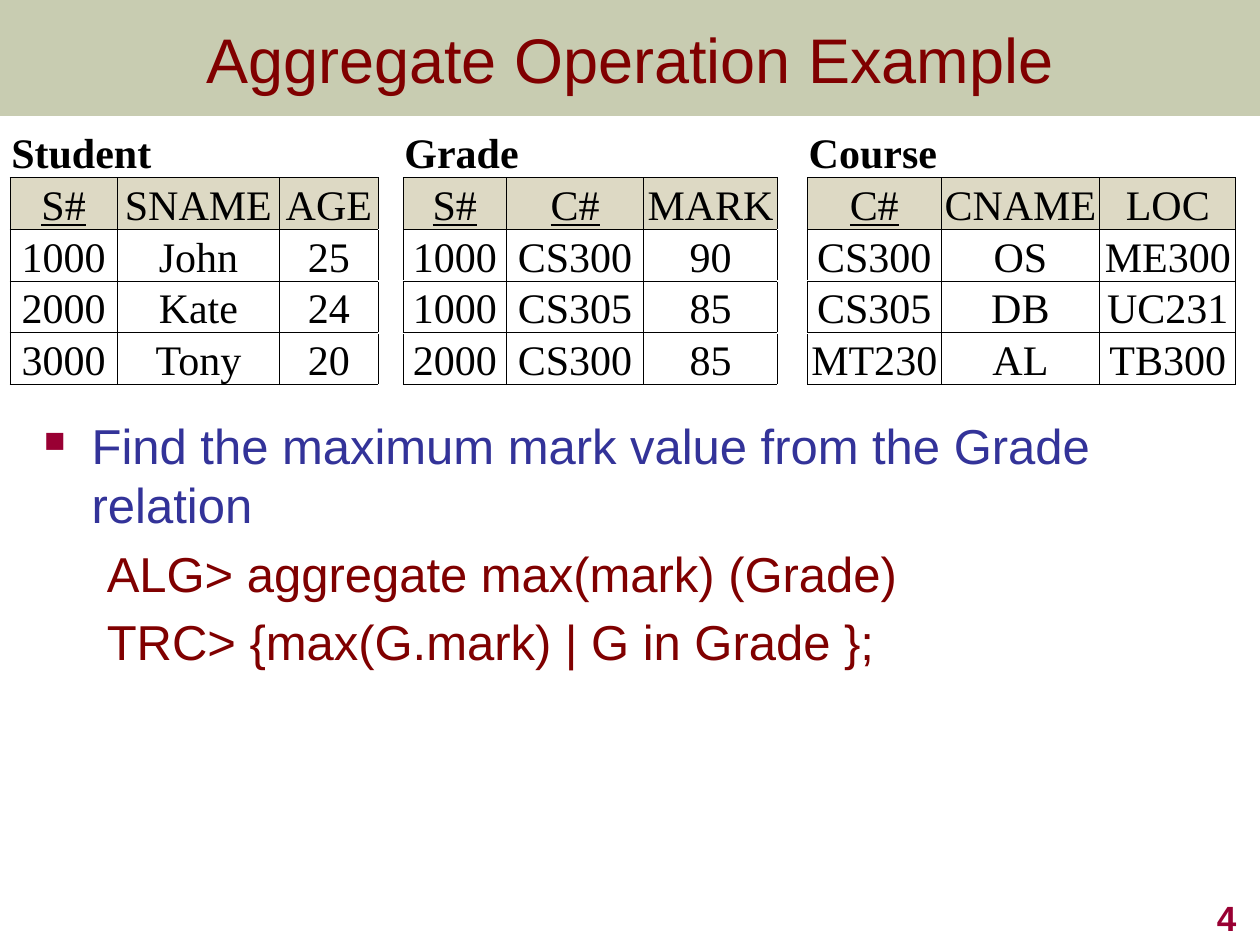
"""Build the aggregate operation slide with its three relations and two queries."""
from dataclasses import dataclass

from lxml import etree
from pptx import Presentation, util as u
from pptx.dml.color import RGBColor
from pptx.enum import shapes, text
from pptx.oxml.ns import qn


@dataclass(frozen=True)
class Theme:
    sans: str = "Arial"
    serif: str = "Times New Roman"
    band: str = "677228"
    maroon: str = "800000"
    navy: str = "333399"
    wine: str = "990033"
    head: str = "DDD9C4"
    white: str = "FFFFFF"
    black: str = "000000"
    title: int = 36
    body: int = 28
    cell: int = 24
    page: int = 20


@dataclass(frozen=True)
class Relation:
    name: str
    widths: tuple[float, ...]
    heads: tuple[str, ...]
    keys: int
    rows: tuple[tuple[str, ...], ...]


T = Theme()
ROW = 0.38
GAPS = (0.2, 0.24)
RELATIONS = (
    Relation("Student", (0.85, 1.29, 0.78), ("S#", "SNAME", "AGE"), 1,
             (("1000", "John", "25"), ("2000", "Kate", "24"), ("3000", "Tony", "20"))),
    Relation("Grade", (0.82, 1.09, 1.06), ("S#", "C#", "MARK"), 2,
             (("1000", "CS300", "90"), ("1000", "CS305", "85"), ("2000", "CS300", "85"))),
    Relation("Course", (1.06, 1.26, 1.08), ("C#", "CNAME", "LOC"), 1,
             (("CS300", "OS", "ME300"), ("CS305", "DB", "UC231"), ("MT230", "AL", "TB300"))),
)


def put(para, words: str, *, size: int, color: str, face: str = T.sans,
        bold: bool = False, line: bool = False, align=text.PP_ALIGN.LEFT) -> None:
    para.alignment = align
    run = para.add_run()
    run.text = words
    font = run.font
    font.name, font.size = face, u.Pt(size)
    font.bold, font.underline = bold, line
    font.color.rgb = RGBColor.from_string(color)


def add_box(slide, left: float, top: float, width: float, height: float, anchor):
    box = slide.shapes.add_textbox(*map(u.Inches, (left, top, width, height)))
    frame = box.text_frame
    frame.word_wrap = True
    frame.vertical_anchor = anchor
    return frame


def add_band(slide) -> None:
    band = slide.shapes.add_shape(shapes.MSO_SHAPE.RECTANGLE, 0, 0, u.Inches(10), u.Inches(0.92))
    band.shadow.inherit = False
    band.fill.solid()
    band.fill.fore_color.rgb = RGBColor.from_string(T.band)
    band.line.fill.background()
    tint = next(band.fill._xPr.iter(qn("a:srgbClr")))
    etree.SubElement(tint, qn("a:alpha"), val="36000")


def style(cell, fill: str, sides: str) -> None:
    cell.margin_left = cell.margin_right = cell.margin_top = u.Inches(0.01)
    cell.margin_bottom = 0
    cell.vertical_anchor = text.MSO_ANCHOR.BOTTOM
    props = cell._tc.get_or_add_tcPr()
    for side in sides:
        edge = etree.SubElement(props, qn(f"a:ln{side}"), w=str(u.Pt(0.5)))
        ink = etree.SubElement(edge, qn("a:solidFill"))
        etree.SubElement(ink, qn("a:srgbClr"), val=T.black)
    cell.fill.solid()
    cell.fill.fore_color.rgb = RGBColor.from_string(fill)


def fill_block(grid, rel: Relation, start: int) -> None:
    last = start + len(rel.heads) - 1
    for col in range(start, last + 1):
        style(grid.cell(0, col), T.white, "B")
    name = grid.cell(0, start)
    name.merge(grid.cell(0, last))
    put(name.text_frame.paragraphs[0], rel.name, size=T.cell, color=T.black,
        face=T.serif, bold=True)
    for row, items in enumerate((rel.heads, *rel.rows), 1):
        for pos, item in enumerate(items):
            cell = grid.cell(row, start + pos)
            style(cell, T.head if row == 1 else T.white, "LRTB")
            put(cell.text_frame.paragraphs[0], item, size=T.cell, color=T.black,
                face=T.serif, line=row == 1 and pos < rel.keys, align=text.PP_ALIGN.CENTER)


def add_grid(slide) -> None:
    widths = list(RELATIONS[0].widths)
    for gap, rel in zip(GAPS, RELATIONS[1:]):
        widths += [gap, *rel.widths]
    count = 2 + len(RELATIONS[0].rows)
    frame = slide.shapes.add_table(count, len(widths), u.Inches(0.08), u.Inches(1),
                                   u.Inches(sum(widths)), u.Inches(ROW * count))
    grid = frame.table
    grid.first_row = grid.horz_banding = False
    for col, width in zip(grid.columns, widths):
        col.width = u.Inches(width)
    for row in grid.rows:
        row.height = u.Inches(ROW)
    start = 0
    for rel in RELATIONS:
        fill_block(grid, rel, start)
        start += len(rel.heads) + 1
        if start < len(widths):
            for row in range(count):
                style(grid.cell(row, start - 1), T.white, "LR" if row else "")


def add_body(slide) -> None:
    frame = add_box(slide, 0.25, 3.25, 9.26, 3.08, text.MSO_ANCHOR.TOP)
    frame.margin_right = 0
    para = frame.paragraphs[0]
    props = para._p.get_or_add_pPr()
    props.set("marL", str(u.Inches(0.38)))
    props.set("indent", str(u.Inches(-0.38)))
    tint = etree.SubElement(props, qn("a:buClr"))
    etree.SubElement(tint, qn("a:srgbClr"), val=T.wine)
    etree.SubElement(props, qn("a:buSzPct"), val="60000")
    etree.SubElement(props, qn("a:buChar"), char="■")
    put(para, "Find the maximum mark value from the Grade relation", size=T.body, color=T.navy)
    for query in ("ALG> aggregate max(mark) (Grade)", "TRC> {max(G.mark) | G in Grade };"):
        para = frame.add_paragraph()
        para.level = 1
        para.space_before = u.Pt(T.body * 0.2)
        props = para._p.get_or_add_pPr()
        props.set("marL", str(u.Inches(0.5)))
        props.set("indent", "0")
        etree.SubElement(props, qn("a:buNone"))
        put(para, query, size=T.body, color=T.maroon)


def main() -> None:
    deck = Presentation()
    deck.slide_width, deck.slide_height = u.Inches(10), u.Inches(7.5)
    slide = deck.slides.add_slide(deck.slide_layouts[6])
    add_band(slide)
    title = add_box(slide, 0, 0, 10, 0.92, text.MSO_ANCHOR.MIDDLE)
    put(title.paragraphs[0], "Aggregate Operation Example", size=T.title, color=T.maroon,
        align=text.PP_ALIGN.CENTER)
    add_body(slide)
    page = add_box(slide, 7.83, 7, 2.08, 0.5, text.MSO_ANCHOR.BOTTOM)
    put(page.paragraphs[0], "4", size=T.page, color=T.wine, bold=True,
        align=text.PP_ALIGN.RIGHT)
    add_grid(slide)
    deck.save("out.pptx")


if __name__ == "__main__":
    main()
